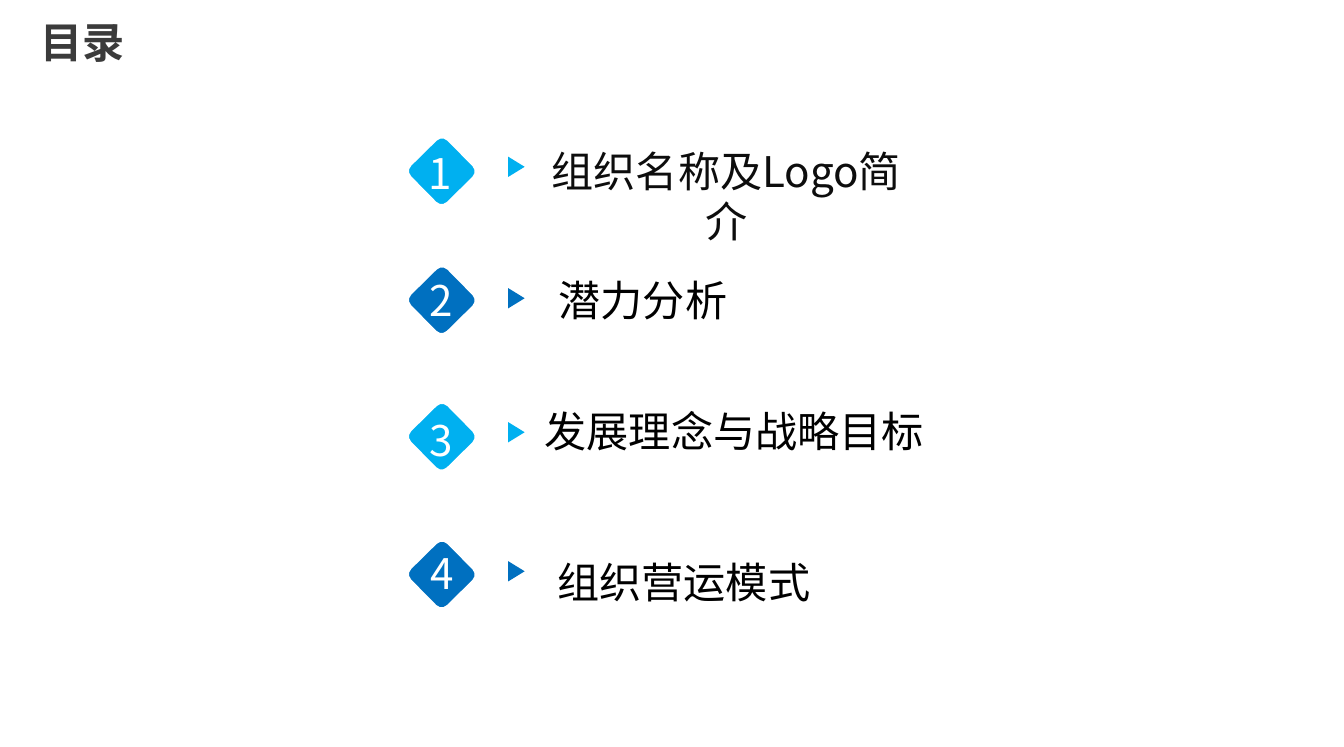
"""Build the contents slide with four numbered entries."""
from lxml import etree
from pptx import Presentation
from pptx.dml.color import RGBColor
from pptx.enum.shapes import MSO_SHAPE
from pptx.enum.text import PP_ALIGN
from pptx.oxml.ns import qn
from pptx.util import Inches, Pt

ROUNDED = MSO_SHAPE.ROUNDED_RECTANGLE
LEFT, CENTER, JUSTIFY = PP_ALIGN.LEFT, PP_ALIGN.CENTER, PP_ALIGN.JUSTIFY
FONT = "Noto Sans CJK SC"
LIGHT_BLUE, DARK_BLUE, WHITE = "00B0F0", "0070C0", "FFFFFF"


def color(hex_string):
    return RGBColor.from_string(hex_string)


def add_text(text, left, top, width, hex_color, align=LEFT, wrap=False, bold=False):
    box = slide.shapes.add_textbox(Inches(left), Inches(top), Inches(width), Inches(0.5))
    frame = box.text_frame
    frame.word_wrap = wrap
    paragraph = frame.paragraphs[0]
    paragraph.alignment = align
    run = paragraph.add_run()
    run.text = text
    font_format = {"name": FONT, "size": Pt(24), "bold": bold}
    for attribute, value in font_format.items():
        setattr(run.font, attribute, value)
    run.font.color.rgb = color(hex_color)
    etree.SubElement(run.font._element, qn("a:ea"), typeface=FONT)
    return frame


presentation = Presentation()
presentation.slide_width = Inches(10.63)
presentation.slide_height = Inches(5.91)
slide = presentation.slides.add_slide(presentation.slide_layouts[6])

title = add_text("目录", 0.32, 0.08, 1.18, "3B3B3B", JUSTIFY, True, True)
title.margin_left = title.margin_right = 0

entries = [
    ("组织名称及Logo简介", 1.14, 1.24, (3.29, 1.12), (4.13, 1.1, 3.23), "0D0D0D", CENTER),
    ("潜力分析", 2.16, 2.28, (3.3, 2.12), (4.32, 2.12, 1.55), "000000", LEFT),
    ("发展理念与战略目标", 3.24, 3.34, (3.3, 3.23), (4.21, 3.16, 3.23), "000000", LEFT),
    ("组织营运模式", 4.33, 4.44, (3.31, 4.28), (4.31, 4.35, 2.22), "000000", LEFT),
]

for number, entry in enumerate(entries, start=1):
    label, diamond_top, arrow_top, number_place, label_place, label_color, align = entry
    accent = LIGHT_BLUE if number % 2 else DARK_BLUE

    builder = slide.shapes.build_freeform(Inches(4.02), Inches(arrow_top))
    builder.add_line_segments([
        (Inches(4.15), Inches(arrow_top + 0.08)),
        (Inches(4.02), Inches(arrow_top + 0.16)),
    ])
    arrow = builder.convert_to_shape()
    arrow.line.fill.background()

    diamond = slide.shapes.add_shape(
        ROUNDED, Inches(3.28), Inches(diamond_top), Inches(0.43), Inches(0.43))
    diamond.rotation = 315.5
    diamond.line.color.rgb = color(WHITE)
    diamond.line.width = Pt(2)

    for shape in (arrow, diamond):
        shape.shadow.inherit = False
        shape.fill.solid()
        shape.fill.fore_color.rgb = color(accent)

    add_text(str(number), *number_place, 0.4, WHITE)
    add_text(label, *label_place, label_color, align, wrap=align == CENTER)

presentation.save("out.pptx")
